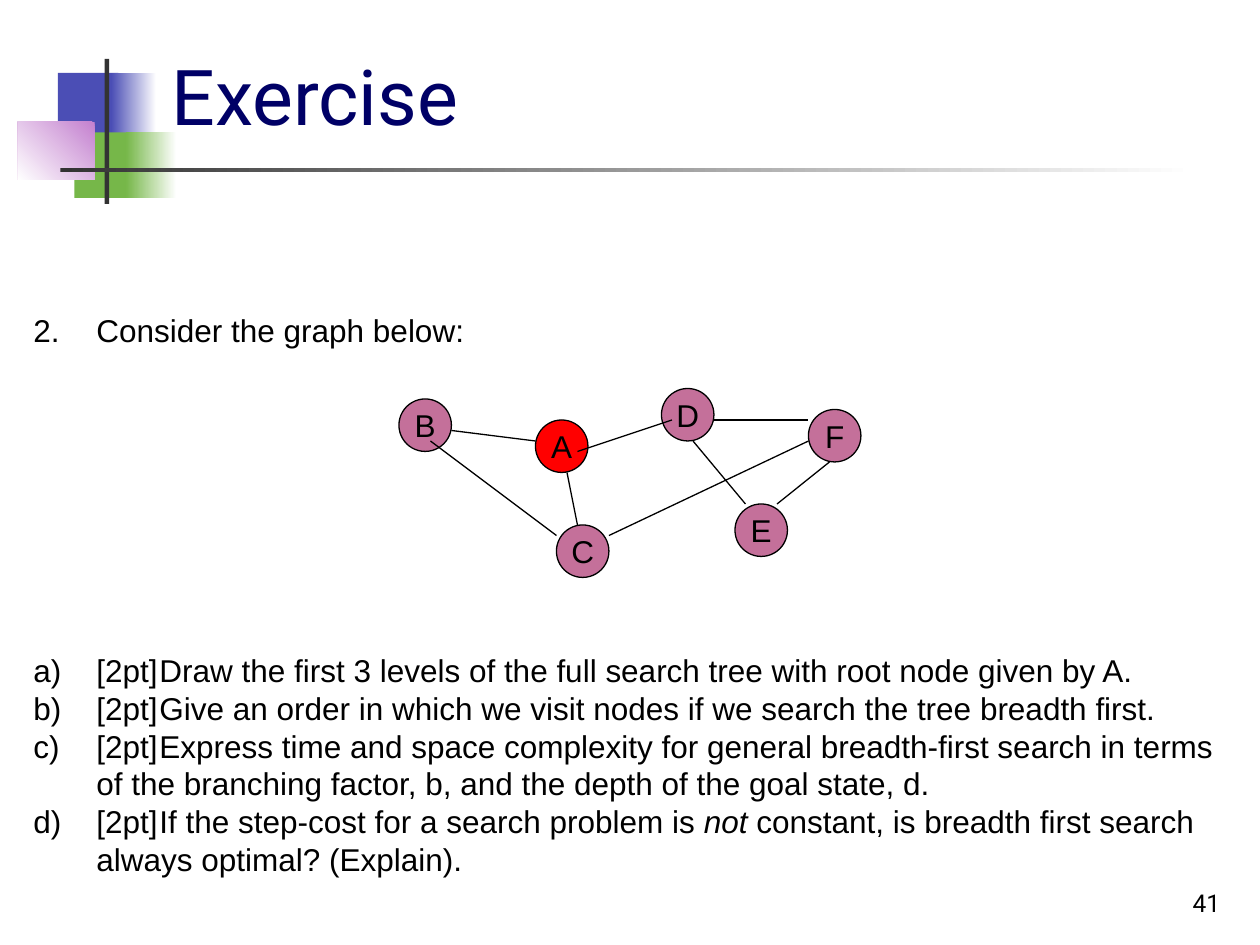
from pptx import Presentation
from pptx.dml.color import RGBColor
from pptx.enum.shapes import MSO_CONNECTOR, MSO_SHAPE
from pptx.enum.text import MSO_ANCHOR, MSO_AUTO_SIZE, PP_ALIGN
from pptx.oxml import parse_xml
from pptx.oxml.ns import nsdecls
from pptx.util import Cm, Pt

RECT, OVAL = MSO_SHAPE.RECTANGLE, MSO_SHAPE.OVAL
LINE = MSO_CONNECTOR.STRAIGHT
TOP, MIDDLE, BOTTOM = MSO_ANCHOR.TOP, MSO_ANCHOR.MIDDLE, MSO_ANCHOR.BOTTOM
LEFT, CENTER, RIGHT = PP_ALIGN.LEFT, PP_ALIGN.CENTER, PP_ALIGN.RIGHT
FIXED = MSO_AUTO_SIZE.NONE

BLACK = RGBColor(0x00, 0x00, 0x00)
WHITE = RGBColor(0xFF, 0xFF, 0xFF)
NAVY = RGBColor(0x00, 0x00, 0x66)
BLUE = RGBColor(0x4B, 0x4E, 0xB5)
GREEN = RGBColor(0x76, 0xB7, 0x49)
LILAC = RGBColor(0xC4, 0x81, 0xCF)
GRAY = RGBColor(0x33, 0x33, 0x33)
RED = RGBColor(0xFF, 0x00, 0x00)
ROSE = RGBColor(0xC4, 0x70, 0x9A)

TITLE = {"name": "Roboto", "size": Pt(44), "color": NAVY}
BODY = {"name": "Arial", "size": Pt(18), "color": BLACK}
NUMBER = {"name": "Roboto", "size": Pt(14), "color": BLACK}

LEAD = 21.6
MARK = Cm(0.92)
START = Cm(2.54)
NODE = 5

BLOCKS = [
    ((1.17, 1.47, 1.22, 1.32), BLUE, None),
    ((2.24, 1.47, 0.91, 1.32), BLUE, 0),
    ((1.5, 2.67, 1.17, 1.32), GREEN, None),
    ((2.54, 2.67, 1.02, 1.32), GREEN, 0),
    ((0.36, 2.46, 1.55, 1.17), LILAC, 225),
    ((2.11, 1.19, 0.09, 2.92), GRAY, None),
    ((1.22, 3.38, 22.86, 0.09), GRAY, 0),
]
NODES = {
    "A": (51, 40), "D": (63, 37), "B": (38, 38),
    "F": (77, 39), "C": (53, 50), "E": (70, 48),
}
EDGES = [
    (43, 41, 51, 42), (41, 42, 53, 51), (54, 45, 55, 50), (55, 43, 64, 40),
    (66, 42, 71, 48), (58, 51, 77, 42), (79, 44, 74, 48), (68, 40, 77, 40),
]
TASKS = [
    ["2.\tConsider the graph below:"],
    ["a)\t[2pt]\tDraw the first 3 levels of the full search tree with root node given by A."],
    ["b)\t[2pt]\tGive an order in which we visit nodes if we search the tree breadth first."],
    ["c)\t[2pt]\tExpress time and space complexity for general breadth-first search in terms"],
    ["\tof the branching factor, b, and the depth of the goal state, d."],
    ["d)\t[2pt]\tIf the step-cost for a search problem is ", "not",
     " constant, is breadth first search"],
    ["\talways optimal? (Explain)."],
]


def grid(count):
    return Cm(count * 2.54 / 12)


def style(font, form):
    for key, value in form.items():
        if key == "color":
            font.color.rgb = value
        else:
            setattr(font, key, value)


def place(shape, box):
    for key, value in zip(("left", "top", "width", "height"), box):
        setattr(shape, key, Cm(value))


def write(shape, text, form, align, anchor, wrap=True):
    frame = shape.text_frame
    frame.auto_size = FIXED
    frame.word_wrap = wrap
    frame.vertical_anchor = anchor
    frame.text = text
    para = frame.paragraphs[0]
    para.alignment = align
    style(para.runs[0].font, form)


def add_block(slide, box, color, angle):
    block = slide.shapes.add_shape(RECT, *map(Cm, box))
    block.shadow.inherit = False
    block.line.fill.background()
    if angle is None:
        block.fill.solid()
        block.fill.fore_color.rgb = color
        return
    block.fill.gradient()
    block.fill.gradient_angle = angle
    for stop, shade in zip(block.fill.gradient_stops, (color, WHITE)):
        stop.color.rgb = shade


def add_node(slide, name, left, top):
    node = slide.shapes.add_shape(OVAL, *map(grid, (left, top, NODE, NODE)))
    node.shadow.inherit = False
    node.fill.solid()
    node.fill.fore_color.rgb = RED if name == "A" else ROSE
    node.line.color.rgb = BLACK
    node.line.width = Pt(0.75)
    write(node, name, BODY, CENTER, MIDDLE, False)


def add_edge(slide, ends):
    edge = slide.shapes.add_connector(LINE, *map(grid, ends))
    edge.line.color.rgb = BLACK
    edge.line.width = Pt(0.75)
    edge._element.spPr.append(parse_xml(f"<a:effectLst {nsdecls('a')}/>"))


def set_tabs(para, stops):
    props = para._p.get_or_add_pPr()
    props.set("marL", "0")
    props.set("indent", "0")
    props.append(parse_xml(f"<a:buNone {nsdecls('a')}/>"))
    tabs = "".join(f'<a:tab pos="{stop}" algn="l"/>' for stop in stops)
    props.append(parse_xml(f"<a:tabLst {nsdecls('a')}>{tabs}</a:tabLst>"))


def fill_tasks(body):
    frame = body.text_frame
    frame.auto_size = FIXED
    frame.word_wrap = True
    frame.vertical_anchor = TOP
    for index, parts in enumerate(TASKS):
        para = frame.paragraphs[0] if index == 0 else frame.add_paragraph()
        set_tabs(para, (MARK, START) if "[2pt]" in parts[0] else (START,))
        para.alignment = LEFT
        para.line_spacing = Pt(LEAD)
        para.space_before = Pt(8 * LEAD if index == 1 else 0)
        for part in parts:
            run = para.add_run()
            run.text = part
            style(run.font, BODY)
            if part == "not":
                run.font.italic = True


def main():
    deck = Presentation()
    deck.slide_width, deck.slide_height = Cm(25.4), Cm(19.05)
    slide = deck.slides.add_slide(deck.slide_layouts[1])
    title, body = slide.placeholders
    place(title, (3.2, 0.6, 21.64, 2.36))
    write(title, "Exercise", TITLE, LEFT, BOTTOM)
    place(body, (0.42, 6.14, 24.46, 11.68))
    fill_tasks(body)
    for box, color, angle in BLOCKS:
        add_block(slide, box, color, angle)
    for name, spot in NODES.items():
        add_node(slide, name, *spot)
    for ends in EDGES:
        add_edge(slide, ends)
    number = slide.shapes.add_textbox(*map(Cm, (19.57, 17.34, 5.28, 1.27)))
    write(number, "41", NUMBER, RIGHT, BOTTOM)
    deck.save("out.pptx")


if __name__ == "__main__":
    main()
